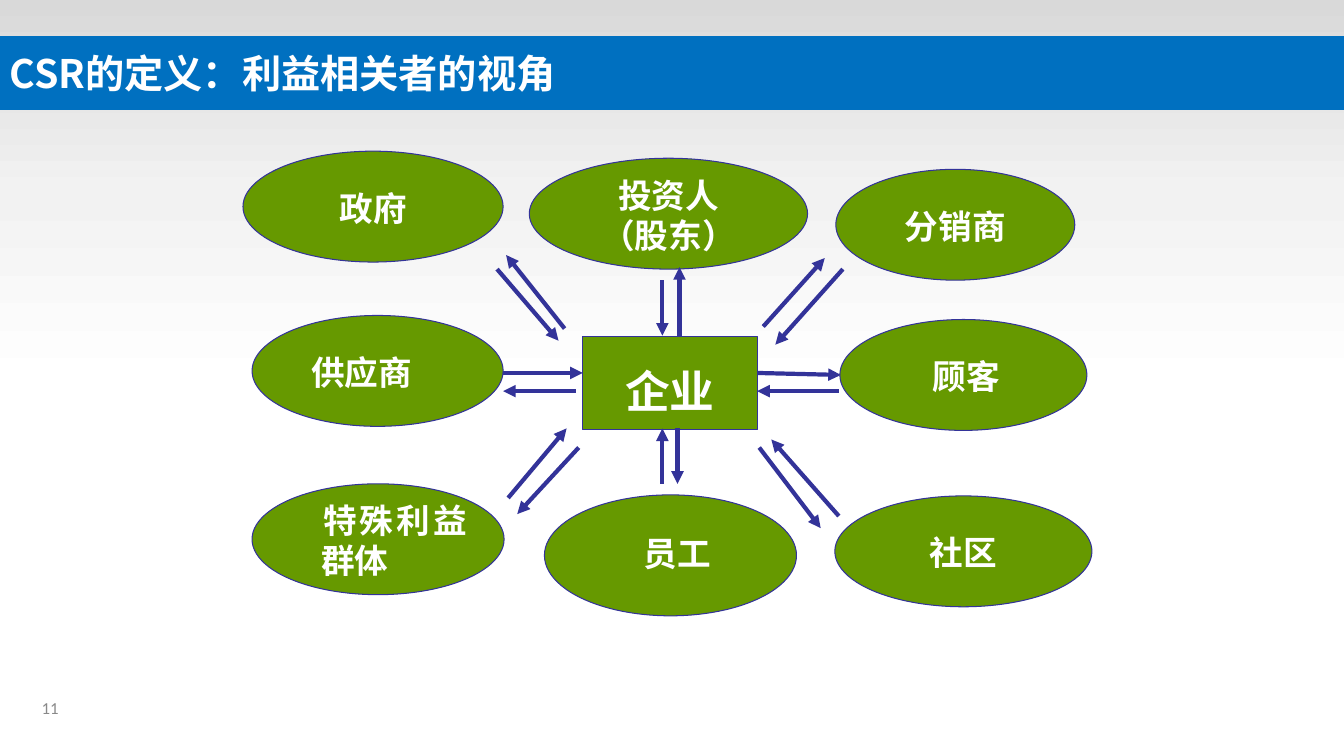
from copy import deepcopy

from pptx import Presentation
from pptx import util as u
from pptx.dml.color import RGBColor
from pptx.enum import shapes, text
from pptx.oxml.ns import qn

COLUMNS, ROWS = 1333, 750
BLUE = RGBColor(0x00, 0x70, 0xC0)
GREEN = RGBColor(0x66, 0x99, 0x00)
INDIGO = RGBColor(0x33, 0x33, 0x99)
WHITE = RGBColor(0xFF, 0xFF, 0xFF)
PALE = RGBColor(0xF2, 0xF2, 0xF2)
SILVER = RGBColor(0xD9, 0xD9, 0xD9)
GREY = RGBColor(0x89, 0x89, 0x89)
CENTER, LEFT = text.PP_ALIGN.CENTER, text.PP_ALIGN.LEFT
JUSTIFY, RIGHT = text.PP_ALIGN.JUSTIFY, text.PP_ALIGN.RIGHT

TITLE = "CSR的定义：利益相关者的视角"
PAGE = "11"
COMPANY = ("企业", (578, 334, 173, 92))
STAKEHOLDERS = [
    (["顾客"], (833, 317, 245, 110), CENTER, 1.5, 6, 0),
    (["投资人", "（股东）"], (525, 157, 276, 110), CENTER, 1, 0, 0),
    (["供应商"], (250, 313, 249, 110), LEFT, 1.5, 22, 0),
    (["员工"], (540, 491, 250, 120), CENTER, 1.5, 14, 0),
    (["分销商"], (829, 168, 237, 110), CENTER, 1.5, 0, 0),
    (["社区"], (828, 492, 255, 110), CENTER, 1.5, 0, 0),
    (["政府"], (241, 150, 258, 110), CENTER, 1.5, 0, 0),
    (["特殊利益群体"], (250, 480, 250, 110), JUSTIFY, 1, 32, 2),
]
EXCHANGES = {
    "投资人": [(674, 333, 674, 265), (657, 278, 657, 333)],
    "供应商": [(571, 388, 499, 388), (499, 370, 578, 370)],
    "员工": [(672, 425, 672, 480), (657, 480, 657, 425)],
    "顾客": [(751, 370, 834, 372), (832, 388, 751, 388)],
    "特殊利益群体": [(574, 444, 513, 510), (504, 494, 562, 425)],
    "政府": [(560, 326, 502, 253), (493, 267, 554, 338)],
    "分销商": [(757, 324, 818, 256), (836, 267, 769, 342)],
    "社区": [(753, 444, 814, 524), (832, 512, 765, 436)],
}

deck = Presentation()
deck.slide_width, deck.slide_height = u.Inches(13.33), u.Inches(7.5)
slide = deck.slides.add_slide(deck.slide_layouts[6])
cell_width, cell_height = deck.slide_width / COLUMNS, deck.slide_height / ROWS


def place(first, second, third, fourth):
    return (round(first * cell_width), round(second * cell_height),
            round(third * cell_width), round(fourth * cell_height))


def add_block(kind, area, fill=None, line=None):
    block = slide.shapes.add_shape(kind, *place(*area))
    block.shadow.inherit = False
    if fill is not None:
        block.fill.solid()
        block.fill.fore_color.rgb = fill
    if line is None:
        block.line.fill.background()
    else:
        block.line.color.rgb = line
        block.line.width = u.Pt(0.75)
    return block


def write(block, lines, size, face, color, align, bold=True, spacing=1,
          anchor=text.MSO_ANCHOR.MIDDLE, margin=None, left=0, first=0):
    frame = block.text_frame
    frame.word_wrap = True
    frame.vertical_anchor = anchor
    if margin is not None:
        frame.margin_left = frame.margin_right = margin
        frame.margin_top = frame.margin_bottom = margin
    frame.text = "\n".join(lines)
    for paragraph in frame.paragraphs:
        paragraph.alignment = align
        paragraph.line_spacing = spacing
        if left:
            properties = paragraph._p.get_or_add_pPr()
            properties.set("marL", str(round(left * cell_width)))
            properties.set("indent", str(round(first * cell_width)))
        font = paragraph.font
        font.name, font.size, font.bold = face, u.Pt(size), bold
        font.color.rgb = color


def add_arrow(ends):
    arrow = slide.shapes.add_connector(shapes.MSO_CONNECTOR.STRAIGHT, *place(*ends))
    arrow.line.color.rgb = INDIGO
    arrow.line.width = u.Pt(3)
    outline = arrow.line._get_or_add_ln()
    outline.makeelement(qn("a:tailEnd"), {})
    head = outline.makeelement(qn("a:tailEnd"), {"type": "triangle"})
    outline.append(head)
    properties = arrow._element.spPr
    properties.append(properties.makeelement(qn("a:effectLst"), {}))


RECTANGLE, OVAL = shapes.MSO_SHAPE.RECTANGLE, shapes.MSO_SHAPE.OVAL

backdrop = add_block(RECTANGLE, (0, 0, COLUMNS, 383))
backdrop.fill.gradient()
backdrop.fill.gradient_angle = 270
stop_list = backdrop._element.spPr.find(qn("a:gradFill")).find(qn("a:gsLst"))
stop_list.append(deepcopy(stop_list[-1]))
for stop, position, shade in zip(backdrop.fill.gradient_stops, (0, 0.5, 1), (SILVER, PALE, WHITE)):
    stop.position = position
    stop.color.rgb = shade

add_block(RECTANGLE, (0, 76, COLUMNS, 24), SILVER)
banner = add_block(RECTANGLE, (0, 36, COLUMNS, 73), BLUE)
write(banner, [TITLE], 28, "Noto Sans CJK SC", WHITE, LEFT)
page_number = slide.shapes.add_textbox(*place(0, 682, 68, 40))
write(page_number, [PAGE], 12, "Calibri", GREY, RIGHT, bold=False)

company_name, company_area = COMPANY
company = add_block(RECTANGLE, company_area, GREEN, INDIGO)
write(company, [company_name], 32, "Times New Roman", WHITE, CENTER, spacing=1.5,
      anchor=text.MSO_ANCHOR.TOP, margin=0)

for lines, area, align, spacing, left, first in STAKEHOLDERS:
    stakeholder = add_block(OVAL, area, GREEN, INDIGO)
    write(stakeholder, lines, 24, "Times New Roman", WHITE, align, spacing=spacing,
          anchor=text.MSO_ANCHOR.TOP, margin=0, left=left, first=first)

for exchange in EXCHANGES.values():
    for ends in exchange:
        add_arrow(ends)

deck.save("out.pptx")
